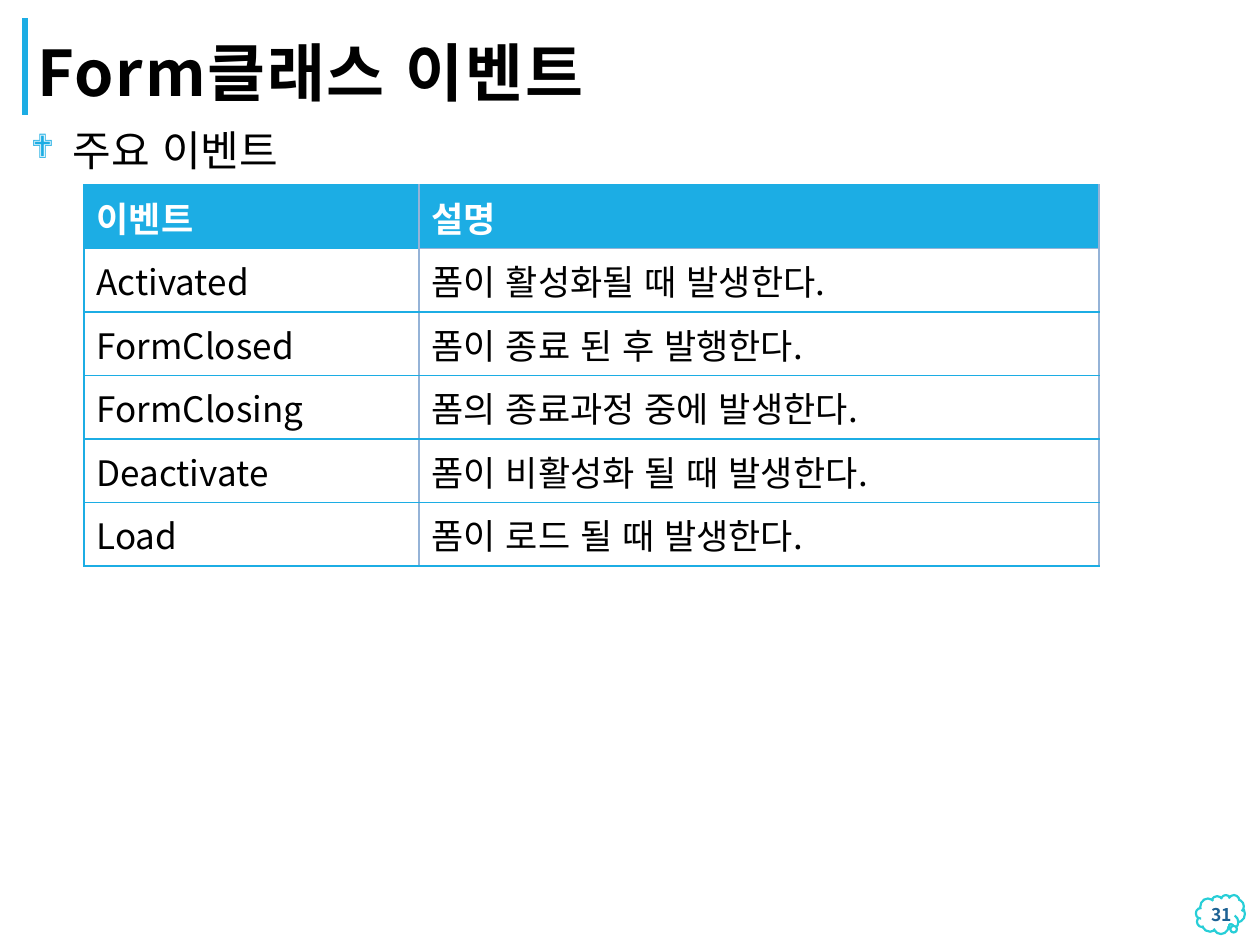
from lxml.etree import SubElement as Sub
from pptx import Presentation
from pptx.dml.color import RGBColor as Rgb
from pptx.enum.lang import MSO_LANGUAGE_ID as Lang
from pptx.enum.shapes import MSO_CONNECTOR as Conn, MSO_SHAPE as Shape
from pptx.enum.text import MSO_ANCHOR as Anchor, PP_ALIGN as Align
from pptx.oxml import parse_xml
from pptx.oxml.ns import nsdecls, qn
from pptx.util import Pt

# Content
TITLE = "Form클래스 이벤트"
TOPIC = "주요 이벤트"
PAGE = "31"
ROWS = [
    ("이벤트", "설명"),
    ("Activated", "폼이 활성화될 때 발생한다."),
    ("FormClosed", "폼이 종료 된 후 발행한다."),
    ("FormClosing", "폼의 종료과정 중에 발생한다."),
    ("Deactivate", "폼이 비활성화 될 때 발생한다."),
    ("Load", "폼이 로드 될 때 발생한다."),
]

# Look
FONT = "Noto Sans CJK KR"
HEX = {"blue": "1CADE4", "steel": "95B3D7", "teal": "27CED7",
       "navy": "1D6294", "black": "000000", "white": "FFFFFF"}
SCALE = 914400 // 126
WIDTHS = (335, 680)
TABLE_H = 381


def px(*nums):
    return [n * SCALE for n in nums]


def color(name):
    return Rgb.from_string(HEX[name])


def write(frame, text, size=20, ink="black", bold=False, align=Align.LEFT,
          lead=None, track=None, bullet=None):
    para = frame.paragraphs[0]
    para.alignment = align
    if lead:
        para.line_spacing = lead
    if bullet:
        mark, tint, pct, dent = bullet
        props = para._p.get_or_add_pPr()
        props.set("marL", str(dent * SCALE))
        props.set("indent", str(-dent * SCALE))
        Sub(Sub(props, qn("a:buClr")), qn("a:srgbClr"), val=HEX[tint])
        Sub(props, qn("a:buSzPct"), val=str(pct * 1000))
        Sub(props, qn("a:buFont"), typeface="Wingdings")
        Sub(props, qn("a:buChar"), char=mark)
    run = para.add_run()
    run.text = text
    font = run.font
    font.size, font.bold, font.name = Pt(size), bold, FONT
    font.language_id = Lang.KOREAN
    font.color.rgb = color(ink)
    props = run._r.get_or_add_rPr()
    Sub(props, qn("a:ea"), typeface=FONT)
    if track:
        props.set("spc", str(track * 100))


def add_box(slide, area, anchor, inset=None):
    frame = slide.shapes.add_textbox(*px(*area)).text_frame
    frame.word_wrap = True
    frame.vertical_anchor = anchor
    if inset is not None:
        frame.margin_left = frame.margin_right = inset * SCALE
        frame.margin_top = frame.margin_bottom = inset * SCALE
    return frame


def set_edges(cell, **sides):
    props = cell._tc.get_or_add_tcPr()
    for i, side in enumerate("LRTB"):
        props.insert(i, parse_xml(
            f'<a:ln{side} {nsdecls("a")} w="12700"><a:solidFill>'
            f'<a:srgbClr val="{HEX[sides[side]]}"/></a:solidFill></a:ln{side}>'))


def add_events(slide):
    area = px(84, 185, sum(WIDTHS), TABLE_H)
    table = slide.shapes.add_table(len(ROWS), len(WIDTHS), *area).table
    table.horz_banding = False
    for col, width in zip(table.columns, WIDTHS):
        col.width = width * SCALE
    for r, row in enumerate(ROWS):
        table.rows[r].height = TABLE_H * SCALE // len(ROWS)
        head = r == 0
        for c, text in enumerate(row):
            cell = table.cell(r, c)
            cell.vertical_anchor = Anchor.MIDDLE
            if head:
                cell.fill.solid()
                cell.fill.fore_color.rgb = color("blue")
            else:
                cell.fill.background()
            write(cell.text_frame, text, bold=head, align=Align.JUSTIFY,
                  ink="white" if head else "black")
            set_edges(cell, L="steel" if c else "blue", R="steel",
                      T="steel" if c and r == 1 else "blue",
                      B="steel" if c and head else "blue")


def main():
    deck = Presentation()
    deck.slide_width, deck.slide_height = px(1260, 945)
    slide = deck.slides.add_slide(deck.slide_layouts[6])

    # Title rule
    rule = slide.shapes.add_connector(Conn.STRAIGHT, *px(25, 115, 25, 18))
    rule.line.color.rgb = color("blue")
    rule.line.width = Pt(3)
    Sub(rule._element.spPr, qn("a:effectLst"))

    # Page cloud
    cloud = slide.shapes.add_shape(Shape.CLOUD_CALLOUT, *px(1196, 895, 49, 39))
    cloud.shadow.inherit = False
    cloud.adjustments[0], cloud.adjustments[1] = 0.2, 0.28
    cloud.fill.solid()
    cloud.fill.fore_color.rgb = color("white")
    cloud.line.color.rgb = color("teal")
    cloud.line.width = Pt(1.25)

    # Topic, title, table and page number
    write(add_box(slide, (25, 124, 1211, 774), Anchor.TOP, inset=6), TOPIC,
          size=24, lead=0.9, bullet=("❖", "blue", 80, 42))
    write(add_box(slide, (25, 17, 1004, 98), Anchor.BOTTOM), TITLE,
          size=36, bold=True, lead=0.8, track=1)
    add_events(slide)
    write(add_box(slide, (1165, 893, 79, 43), Anchor.MIDDLE), PAGE,
          size=10, ink="navy", bold=True, align=Align.RIGHT)

    deck.save("out.pptx")


if __name__ == "__main__":
    main()
